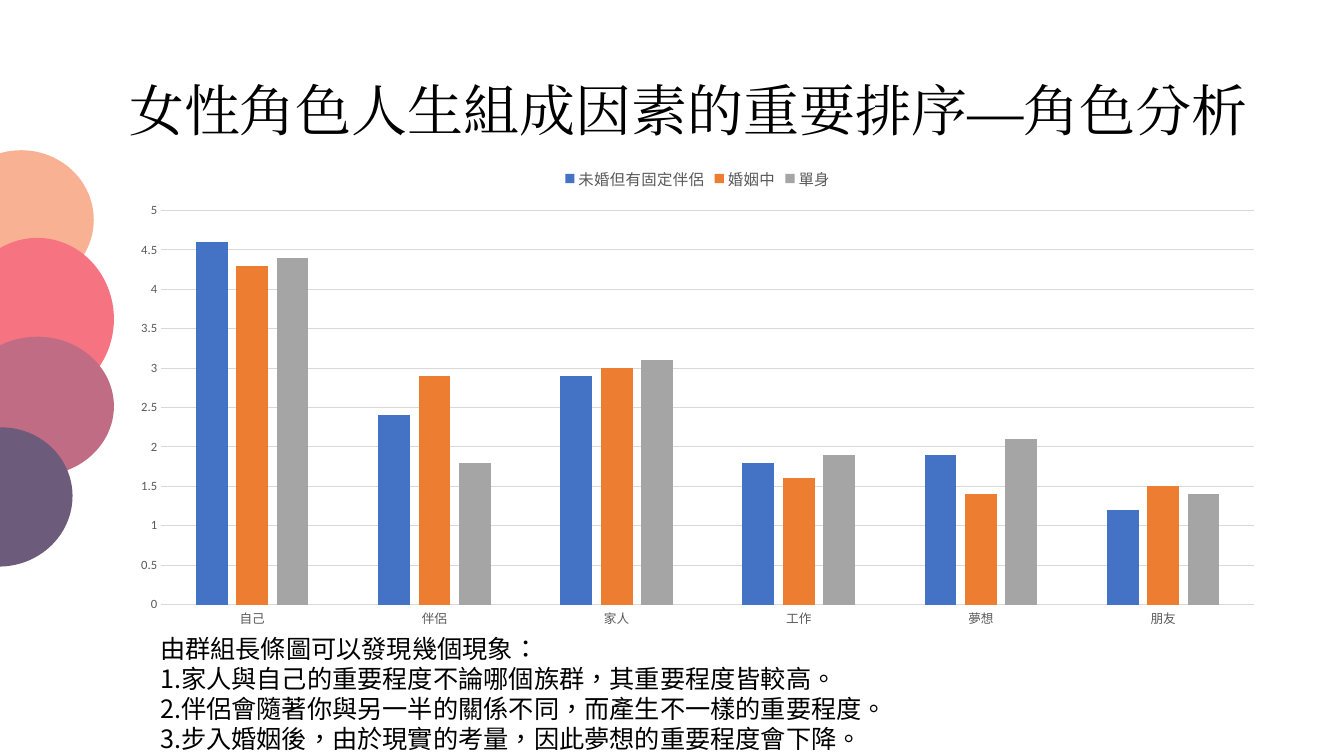
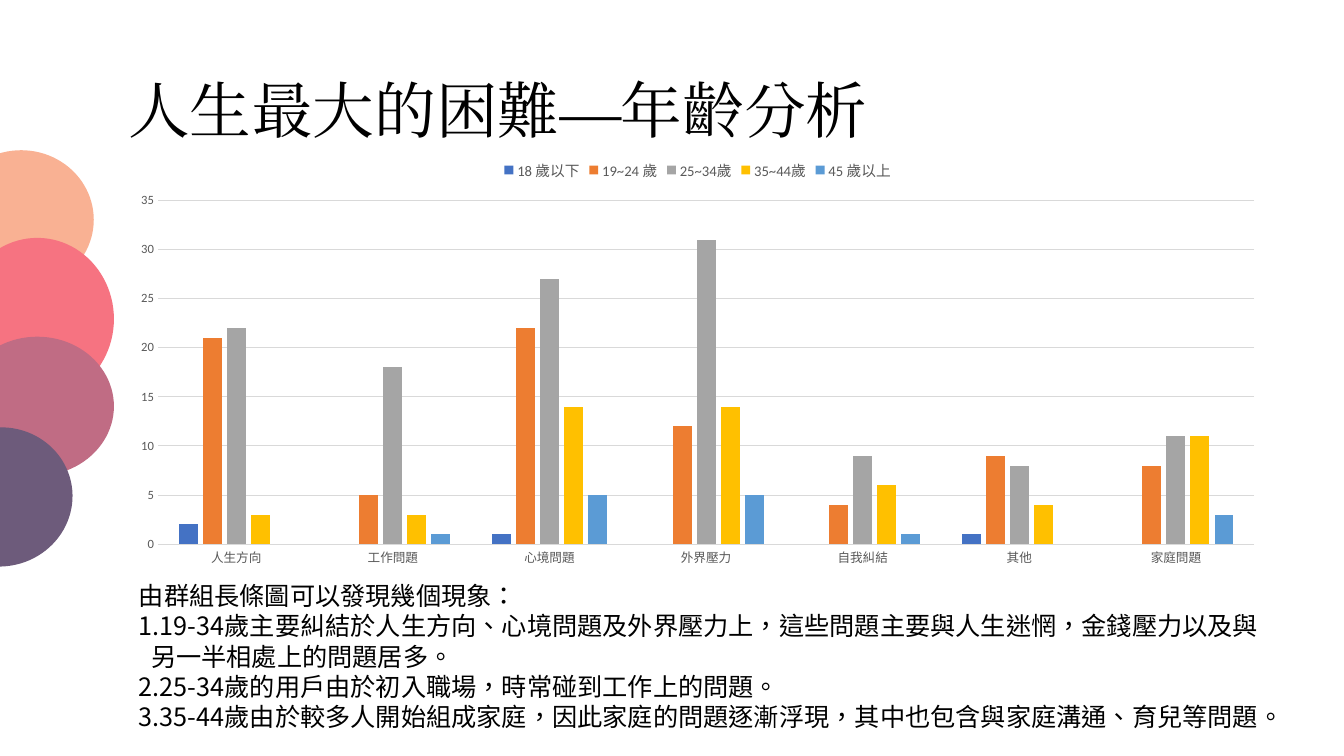
import pptx
import pptx.chart.data
import pptx.dml.color
import pptx.enum.chart
import pptx.enum.lang
import pptx.enum.shapes
import pptx.enum.text
import pptx.util
from pptx.util import Inches, Pt

THEME = {
    "text": "000000", "label": "595959", "rule": "D9D9D9",
    "series": ["4472C4", "ED7D31", "A5A5A5", "FFC000", "5B9BD5"],
    "title_font": "Times New Roman", "body_font": "Noto Sans CJK SC", "chart_font": "Calibri",
    "body_size": 18, "axis_size": 9, "chart_size": 10, "rule_width": 0.75,
}
LEFT, WIDTH = 1.17, 11.5

# Left edge circles: left, top, width, height, rotation, colour
CIRCLES = [
    (-0.51, 1.49, 1.44, 1.38, 0, "F9B193"),
    (-0.39, 2.36, 1.52, 1.61, 0, "F67381"),
    (-0.39, 3.34, 1.52, 1.38, 0, "C06C84"),
    (-0.72, 4.24, 1.44, 1.38, 351.1, "6D5B7B"),
]

# Content; a note is its text and its hanging indent
SLIDES = [
    {
        "title": "女性角色人生組成因素的重要排序—角色分析", "title_size": 40,
        "chart_area": (LEFT, 1.55, WIDTH, 4.76), "legend_size": 11, "scale": (5, 0.5),
        "categories": ["自己", "伴侶", "家人", "工作", "夢想", "朋友"],
        "series": {
            "未婚但有固定伴侶": [4.6, 2.4, 2.9, 1.8, 1.9, 1.2],
            "婚姻中": [4.3, 2.9, 3, 1.6, 1.4, 1.5],
            "單身": [4.4, 1.8, 3.1, 1.9, 2.1, 1.4],
        },
        "notes_area": (1.49, 6.23, 10.86, 1.31),
        "notes": [
            ("由群組長條圖可以發現幾個現象：", 0),
            ("1.家人與自己的重要程度不論哪個族群，其重要程度皆較高。", 0),
            ("2.伴侶會隨著你與另一半的關係不同，而產生不一樣的重要程度。", 0),
            ("3.步入婚姻後，由於現實的考量，因此夢想的重要程度會下降。", 0),
        ],
    },
    {
        "title": "人生最大的困難—年齡分析", "title_size": 44,
        "chart_area": (LEFT, 1.47, WIDTH, 4.23), "legend_size": 10.5, "scale": (35, 5),
        "categories": ["人生方向", "工作問題", "心境問題", "外界壓力", "自我糾結", "其他", "家庭問題"],
        "series": {
            "18 歲以下": [2, None, 1, None, None, 1, None],
            "19~24 歲": [21, 5, 22, 12, 4, 9, 8],
            "25~34歲": [22, 18, 27, 31, 9, 8, 11],
            "35~44歲": [3, 3, 14, 14, 6, 4, 11],
            "45 歲以上": [None, 1, 5, 5, 1, None, 3],
        },
        "notes_area": (1.28, 5.71, WIDTH, 1.62),
        "notes": [
            ("由群組長條圖可以發現幾個現象：", 0),
            ("1.19-34歲主要糾結於人生方向、心境問題及外界壓力上，這些問題主要與人生迷惘，"
             "金錢壓力以及與另一半相處上的問題居多。", 0.12),
            ("2.25-34歲的用戶由於初入職場，時常碰到工作上的問題。", 0),
            ("3.35-44歲由於較多人開始組成家庭，因此家庭的問題逐漸浮現，"
             "其中也包含與家庭溝通、育兒等問題。", 0),
        ],
    },
]


def color(name):
    return pptx.dml.color.RGBColor.from_string(THEME.get(name, name))


def inches(area):
    return [Inches(length) for length in area]


def style_font(font, name, size, color_name):
    font.name, font.size = name, Pt(size)
    font.color.rgb = color(color_name)


def add_span(para, text, name, size):
    span = para.add_run()
    span.text = text
    style_font(span.font, name, size, "text")
    span.font.language_id = pptx.enum.lang.MSO_LANGUAGE_ID.TRADITIONAL_CHINESE
    # East Asian typeface follows the Latin one
    latin = span.font._element.find(pptx.oxml.ns.qn("a:latin"))
    east_asian = pptx.oxml.parse_xml(
        f'<a:ea {pptx.oxml.ns.nsdecls("a")} typeface="{name}"/>')
    latin.addnext(east_asian)


def move_circles_to_layout(page, layout):
    for index, (*area, rotation, fill) in enumerate(CIRCLES):
        circle = page.shapes.add_shape(pptx.enum.shapes.MSO_SHAPE.OVAL, *inches(area))
        circle.rotation = rotation
        circle.shadow.inherit = False
        circle.fill.solid()
        circle.fill.fore_color.rgb = color(fill)
        circle.line.fill.background()
        circle.element.nvSpPr.cNvPr.set("id", str(100 + index))
        layout.shapes.element.insert(2 + index, circle.element)


def add_title(page, content):
    title = page.shapes.title
    title.left, title.top, title.width, title.height = inches((LEFT, 0.4, WIDTH, 1.45))
    frame = title.text_frame
    frame.vertical_anchor = pptx.enum.text.MSO_ANCHOR.MIDDLE
    para = frame.paragraphs[0]
    para.alignment = pptx.enum.text.PP_ALIGN.LEFT
    para.line_spacing = 0.9
    add_span(para, content["title"], THEME["title_font"], content["title_size"])


def add_column_chart(page, content):
    data = pptx.chart.data.CategoryChartData()
    data.categories = content["categories"]
    for name, values in content["series"].items():
        data.add_series(name, values)
    kind = pptx.enum.chart.XL_CHART_TYPE.COLUMN_CLUSTERED
    chart = page.shapes.add_chart(kind, *inches(content["chart_area"]), data).chart
    style_font(chart.font, THEME["chart_font"], THEME["chart_size"], "text")
    chart.has_title = False

    # Legend
    chart.has_legend = True
    chart.legend.position = pptx.enum.chart.XL_LEGEND_POSITION.TOP
    chart.legend.include_in_layout = False
    style_font(chart.legend.font, THEME["chart_font"], content["legend_size"], "label")

    # Columns
    plot = chart.plots[0]
    plot.gap_width, plot.overlap, plot.vary_by_categories = 219, -27, False
    for series, fill in zip(plot.series, THEME["series"]):
        series.format.fill.solid()
        series.format.fill.fore_color.rgb = color(fill)
        series.invert_if_negative = False

    # Axes
    values, categories = chart.value_axis, chart.category_axis
    for axis in (values, categories):
        axis.major_tick_mark = axis.minor_tick_mark = pptx.enum.chart.XL_TICK_MARK.NONE
        style_font(axis.tick_labels.font, THEME["chart_font"], THEME["axis_size"], "label")
    values.minimum_scale = 0
    values.maximum_scale, values.major_unit = content["scale"]
    values.format.line.fill.background()
    for line in (categories.format.line, values.major_gridlines.format.line):
        line.color.rgb = color("rule")
        line.width = Pt(THEME["rule_width"])


def add_notes(page, content):
    box = page.shapes.add_textbox(*inches(content["notes_area"]))
    frame = box.text_frame
    frame.word_wrap = True
    frame.auto_size = pptx.enum.text.MSO_AUTO_SIZE.SHAPE_TO_FIT_TEXT
    for index, (text, hanging) in enumerate(content["notes"]):
        para = frame.add_paragraph() if index else frame.paragraphs[0]
        if hanging:
            properties = para._p.get_or_add_pPr()
            properties.set("marL", str(Inches(hanging)))
            properties.set("indent", str(-Inches(hanging)))
        add_span(para, text, THEME["body_font"], THEME["body_size"])


def main():
    deck = pptx.Presentation()
    deck.slide_width, deck.slide_height = inches((13.33, 7.5))
    layout = deck.slide_layouts[5]
    for index, content in enumerate(SLIDES):
        page = deck.slides.add_slide(layout)
        if index == 0:
            move_circles_to_layout(page, layout)
        add_title(page, content)
        add_column_chart(page, content)
        add_notes(page, content)
    deck.save("out.pptx")


if __name__ == "__main__":
    main()
